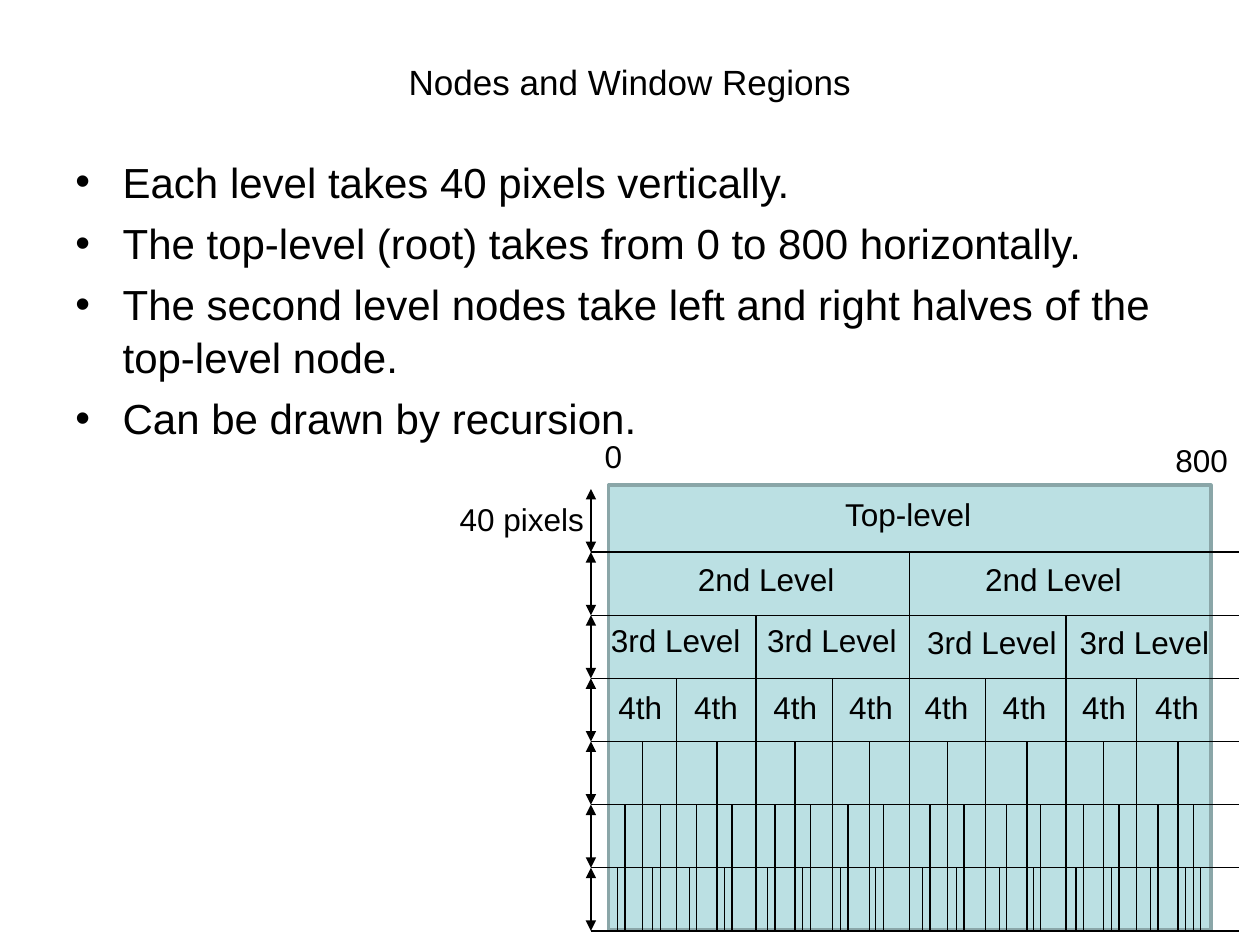
from dataclasses import dataclass

from lxml.etree import SubElement
from pptx import Presentation
from pptx.dml.color import RGBColor
from pptx.enum.shapes import MSO_CONNECTOR, MSO_SHAPE
from pptx.enum.text import MSO_ANCHOR, MSO_AUTO_SIZE, PP_ALIGN
from pptx.oxml.ns import qn
from pptx.slide import Slide
from pptx.text.text import TextFrame
from pptx.util import Inches, Pt

BLACK = RGBColor(0x00, 0x00, 0x00)
TEAL = RGBColor(0xBB, 0xE0, 0xE3)
TEAL_EDGE = RGBColor(0x8A, 0xA6, 0xA8)
FONT = "Arial"

WIDTH, HEIGHT = Inches(10), Inches(7.5)
COL = WIDTH / 100
ROW = HEIGHT * 0.0668
TOP = HEIGHT * 0.5175
LEVELS = 7
RULER, RULE_END = 46.9, 98.3

TITLE = "Nodes and Window Regions"
BULLETS = [
    "Each level takes 40 pixels vertically.",
    "The top-level (root) takes from 0 to 800 horizontally.",
    "The second level nodes take left and right halves of the top-level node.",
    "Can be drawn by recursion.",
]


@dataclass(frozen=True)
class LabelRow:
    text: str
    row: float
    width: float
    cols: tuple[float, ...]


@dataclass(frozen=True)
class DividerRow:
    row: int
    cols: tuple[float, ...]


LABELS = [
    LabelRow("40 pixels", 0.08, 12, (35.5,)),
    LabelRow("Top-level", 0, 12.1, (66.1,)),
    LabelRow("2nd Level", 1.02, 13, (54.4, 77.2)),
    LabelRow("3rd Level", 2, 12.4, (47.5, 59.9)),
    LabelRow("3rd Level", 2.03, 12.4, (72.6, 84.7)),
    LabelRow("4th", 3.05, 5.5, (48.1, 54.1, 60.4, 66.4, 72.4, 78.6, 84.9, 90.7)),
    LabelRow("0", -0.92, 3.4, (47,)),
    LabelRow("800", -0.86, 6.2, (92.3,)),
]

SIXTH = (49.6, 52.4, 55.3, 58.1, 61.5, 64.3, 67.3, 70.1,
         73.8, 76.5, 79.9, 82.6, 86, 88.8, 91.9, 94.7)
DIVIDERS = [
    DividerRow(1, (72.2,)),
    DividerRow(2, (60, 84.6)),
    DividerRow(3, (53.7, 66.1, 78.2, 90.2)),
    DividerRow(4, (51, 56.9, 63.1, 69, 75.2, 81.5, 87.6, 93.5)),
    DividerRow(5, SIXTH),
    DividerRow(6, tuple(c - 0.6 for c in SIXTH) + (95.3,)),
]


def x(col: float) -> int:
    return round(col * COL)


def y(row: float) -> int:
    return round(TOP + row * ROW)


def style(tf: TextFrame, size: float) -> None:
    for p in tf.paragraphs:
        for r in p.runs:
            r.font.name = FONT
            r.font.size = Pt(size)
            r.font.color.rgb = BLACK


def add_title(s: Slide) -> None:
    tf = s.shapes.add_textbox(x(5), round(HEIGHT * 0.04), x(90), round(HEIGHT * 0.0933)).text_frame
    tf.word_wrap = True
    tf.vertical_anchor = MSO_ANCHOR.MIDDLE
    tf.text = TITLE
    tf.paragraphs[0].alignment = PP_ALIGN.CENTER
    style(tf, 20)


def add_bullets(s: Slide) -> None:
    tf = s.shapes.add_textbox(x(5), round(HEIGHT * 0.156), x(90), round(HEIGHT * 0.737)).text_frame
    tf.word_wrap = True
    tf.text = "\n".join(BULLETS)
    for p in tf.paragraphs:
        p.space_before = Pt(4.8)
        p.line_spacing = 1.05
        pPr = p._p.get_or_add_pPr()
        pPr.set("marL", str(x(3.75)))
        pPr.set("indent", str(-x(3.75)))
        SubElement(pPr, qn("a:buFont"), typeface=FONT)
        SubElement(pPr, qn("a:buChar"), char="•")
    style(tf, 24)


def add_window(s: Slide) -> None:
    sp = s.shapes.add_shape(MSO_SHAPE.RECTANGLE, x(48.3), y(-0.06), x(47.8), round(7.05 * ROW))
    sp.shadow.inherit = False
    sp.fill.solid()
    sp.fill.fore_color.rgb = TEAL
    sp.line.color.rgb = TEAL_EDGE
    sp.line.width = Pt(2)


def add_line(s: Slide, col1: float, row1: float, col2: float, row2: float,
             arrows: bool = False) -> None:
    c = s.shapes.add_connector(MSO_CONNECTOR.STRAIGHT, x(col1), y(row1), x(col2), y(row2))
    c.line.color.rgb = BLACK
    c.line.width = Pt(0.75)
    if arrows:
        ln = c.line._get_or_add_ln()
        for end in ("a:headEnd", "a:tailEnd"):
            SubElement(ln, qn(end), type="triangle")
    SubElement(c._element.spPr, qn("a:effectLst"))


def add_labels(s: Slide, label: LabelRow) -> None:
    for col in label.cols:
        tf = s.shapes.add_textbox(x(col), y(label.row), x(label.width), round(0.8 * ROW)).text_frame
        tf.word_wrap = False
        tf.auto_size = MSO_AUTO_SIZE.SHAPE_TO_FIT_TEXT
        tf.text = label.text
        style(tf, 18)


def main() -> None:
    prs = Presentation()
    prs.slide_width, prs.slide_height = WIDTH, HEIGHT
    s = prs.slides.add_slide(prs.slide_layouts[6])
    add_title(s)
    add_bullets(s)
    add_window(s)
    for level in range(LEVELS):
        add_line(s, RULER, level, RULER, level + 1, arrows=True)
        add_line(s, RULER, level + 1, RULE_END, level + 1)
    for divider in DIVIDERS:
        for col in divider.cols:
            add_line(s, col, divider.row, col, LEVELS)
    for label in LABELS:
        add_labels(s, label)
    prs.save("out.pptx")


if __name__ == "__main__":
    main()
